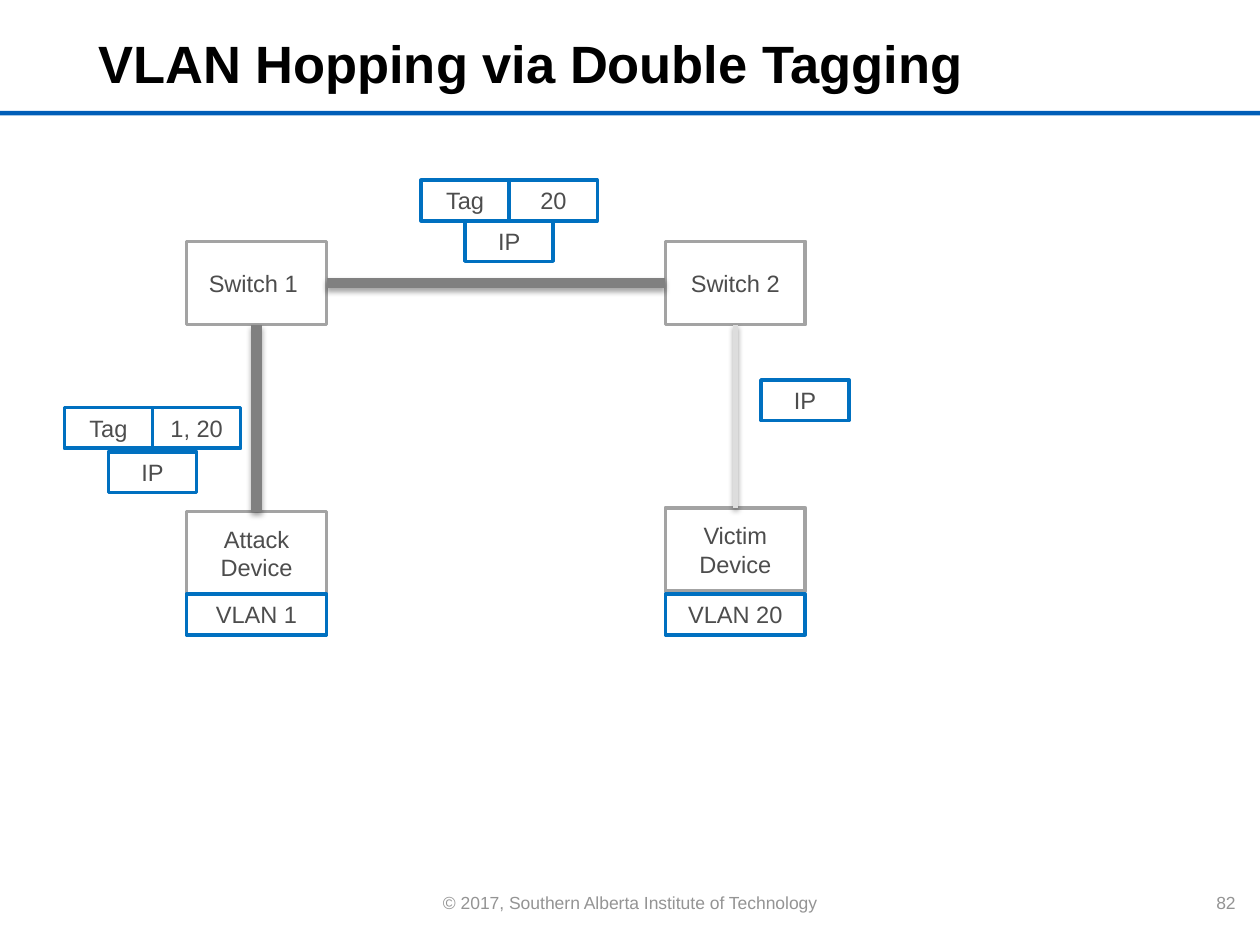
from pptx import Presentation
from pptx.util import Pt
from pptx.dml.color import RGBColor
from pptx.enum.shapes import MSO_SHAPE as Shape, MSO_CONNECTOR as Link
from pptx.enum.text import PP_ALIGN as Align, MSO_ANCHOR as Anchor
from pptx.oxml import parse_xml as to_xml

NS = "http://schemas.openxmlformats.org/drawingml/2006/main"
BLUE, GRAY, DARK = "0070C0", "A3A3A3", "4D4D4D"
BODY = {"size": Pt(13.5), "name": "Arial", "bold": False}
FOOT = BODY | {"size": Pt(10)}
HEAD = BODY | {"size": Pt(30), "bold": True}
WIDE, HIGH = 80, 47.5
CELL, ROW = 50.4, 23.2


def color(code):
    return RGBColor.from_string(code)


def write(shape, text, style, ink, align):
    frame = shape.text_frame
    frame.word_wrap = True
    frame.vertical_anchor = Anchor.MIDDLE
    for i, line in enumerate(text.split("\n")):
        para = frame.paragraphs[0] if i == 0 else frame.add_paragraph()
        para.alignment = align
        run = para.add_run()
        run.text = line
        for key, value in style.items():
            setattr(run.font, key, value)
        run.font.color.rgb = color(ink)
    return frame


def label(slide, box, text, style, ink, align):
    shape = slide.shapes.add_textbox(*map(Pt, box))
    return write(shape, text, style, ink, align)


def node(slide, box, text, edge):
    shape = slide.shapes.add_shape(Shape.RECTANGLE, *map(Pt, box))
    shape.shadow.inherit = False
    shape.fill.background()
    shape.line.color.rgb = color(edge)
    shape.line.width = Pt(2)
    write(shape, text, BODY, DARK, Align.CENTER)


def wire(slide, ends, ink, width):
    line = slide.shapes.add_connector(Link.STRAIGHT, *map(Pt, ends))
    line.line.color.rgb = color(ink)
    line.line.width = Pt(width)
    line._element.spPr.append(to_xml(
        f'<a:effectLst xmlns:a="{NS}"><a:outerShdw blurRad="{Pt(3.1)}" '
        f'dist="{Pt(1.8)}" dir="5400000" rotWithShape="0">'
        '<a:srgbClr val="000000"><a:alpha val="35000"/></a:srgbClr>'
        '</a:outerShdw></a:effectLst>'))


def packet(slide, left, top, tag, drop):
    node(slide, (left + CELL / 2, top + drop, CELL, ROW), "IP", BLUE)
    for i, text in enumerate(("Tag", tag)):
        node(slide, (left + i * CELL, top, CELL, ROW), text, BLUE)


def header(slide, left, top, width, height):
    bar = slide.shapes.add_shape(
        Shape.RECTANGLE, Pt(0), Pt(63.4), Pt(720), Pt(2.6))
    bar.shadow.inherit = False
    bar.fill.solid()
    bar.fill.fore_color.rgb = color("005EB8")
    bar.line.fill.background()
    frame = label(slide, (left, top, width, height),
                  "VLAN Hopping via Double Tagging", HEAD, "000000", Align.LEFT)
    frame.margin_bottom = Pt(6.4)


def footer(slide, top, height):
    label(slide, (239, top, 242, height),
          "© 2017, Southern Alberta Institute of Technology",
          FOOT, "949494", Align.CENTER)
    label(slide, (684, top, 29.2, height), "82", FOOT, "949494", Align.RIGHT)


def network(slide, left, top, span):
    right, base = left + span, top + 201.6
    mid, low = left + WIDE / 2, top + HIGH
    sides = ((left, 154.4, "Switch 1 ", "Attack Device", "VLAN 1"),
             (right, 152.2, "Switch 2", "Victim\nDevice", "VLAN 20"))
    for x, down, switch, host, vlan in sides:
        node(slide, (x, top + down, WIDE, HIGH), host, GRAY)
        node(slide, (x, top, WIDE, HIGH), switch, GRAY)
        node(slide, (x, base, WIDE, ROW), vlan, BLUE)
    wire(slide, (mid, top + 154.4, mid, low), "808080", 6)
    wire(slide, (left + WIDE, top + HIGH / 2, right, top + HIGH / 2),
         "808080", 6)
    wire(slide, (mid + span, low, mid + span, top + 152.2), "DDDDDD", 3)
    packet(slide, left - 69.8, top + 95, "1, 20", 25.2)
    packet(slide, left + 134, top - 35, "20", ROW)
    node(slide, (right + 54.7, top + 79.2, CELL, ROW), "IP", BLUE)


def main():
    deck = Presentation()
    deck.slide_width, deck.slide_height = Pt(720), Pt(540)
    slide = deck.slides.add_slide(deck.slide_layouts[6])
    header(slide, 49, 12.2, 527, 49.7)
    network(slide, 106.6, 138, 273.6)
    footer(slide, 506.2, 19.4)
    deck.save("out.pptx")


if __name__ == "__main__":
    main()
